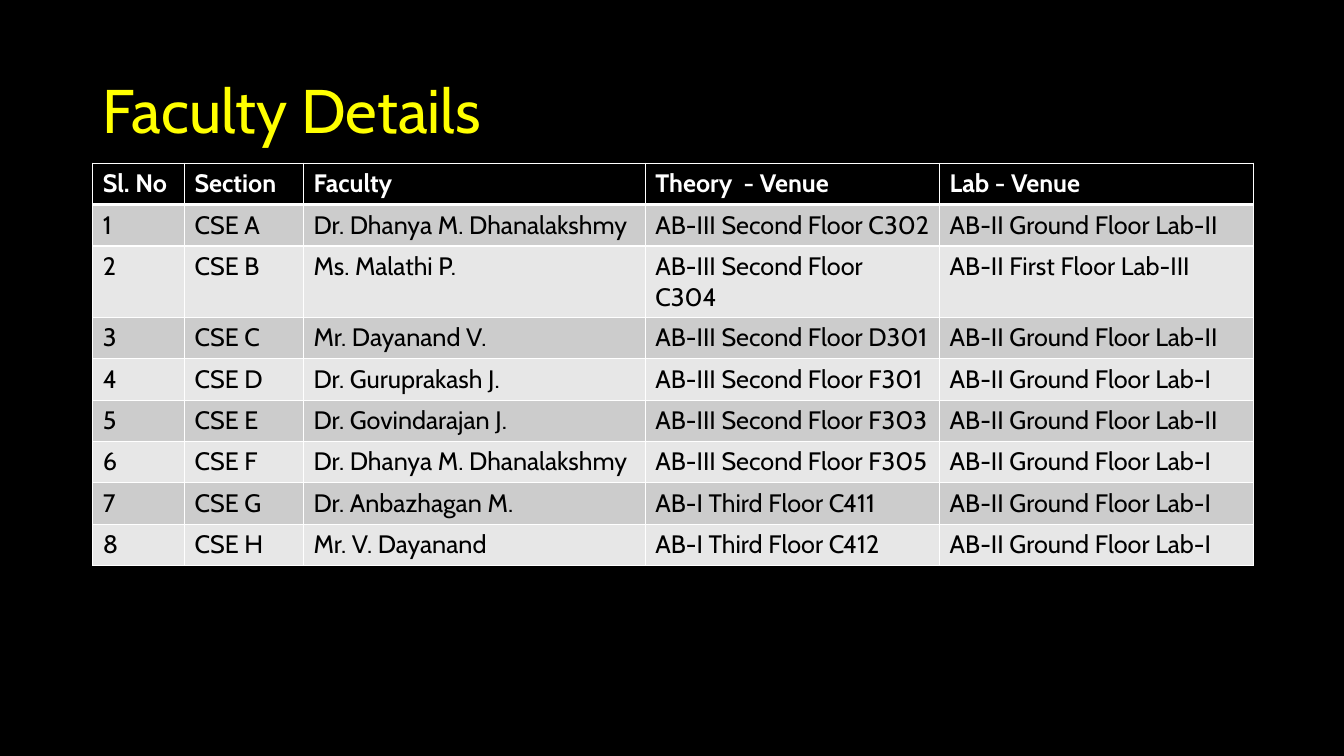
"""Build the Faculty Details slide with its table of sections and venues."""
from dataclasses import dataclass

from lxml import etree
from pptx import Presentation
from pptx.dml.color import RGBColor
from pptx.enum.text import MSO_ANCHOR, MSO_AUTO_SIZE, PP_ALIGN
from pptx.oxml.ns import qn
from pptx.util import Inches, Pt

LEFT = PP_ALIGN.LEFT
MIDDLE = MSO_ANCHOR.MIDDLE
NO_AUTOFIT = MSO_AUTO_SIZE.NONE


@dataclass(frozen=True)
class Theme:
    font: str = "Cabin"
    title_size: int = 44
    table_size: int = 18
    black: str = "000000"
    white: str = "FFFFFF"
    yellow: str = "FFFF00"
    bands: tuple = ("E7E7E7", "CCCCCC")


THEME = Theme()


def write_text(text_frame, text, *, size, color, bold=False, line_spacing=None):
    paragraph = text_frame.paragraphs[0]
    paragraph.alignment = LEFT
    paragraph.line_spacing = line_spacing
    run = paragraph.add_run()
    run.text = text
    run.font.name = THEME.font
    run.font.size = Pt(size)
    run.font.bold = bold
    run.font.color.rgb = RGBColor.from_string(color)


def add_border(cell, side, points):
    properties = cell._tc.get_or_add_tcPr()
    line = etree.SubElement(properties, qn(f"a:ln{side}"), w=str(Pt(points)))
    fill = etree.SubElement(line, qn("a:solidFill"))
    etree.SubElement(fill, qn("a:srgbClr"), val=THEME.white)


presentation = Presentation()
presentation.slide_width = Inches(13.33)
presentation.slide_height = Inches(7.5)
slide = presentation.slides.add_slide(presentation.slide_layouts[5])
slide.background.fill.solid()
slide.background.fill.fore_color.rgb = RGBColor.from_string(THEME.black)

title = slide.shapes.title
title.left, title.top = Inches(0.92), Inches(0.4)
title.width, title.height = Inches(11.5), Inches(1.45)
title.text_frame.auto_size = NO_AUTOFIT
title.text_frame.word_wrap = True
title.text_frame.vertical_anchor = MIDDLE
write_text(title.text_frame, "Faculty Details", size=THEME.title_size,
           color=THEME.yellow, line_spacing=0.9)

headings = ("Sl. No", "Section", "Faculty", "Theory  - Venue", "Lab - Venue")
sections = [
    ("Dr. Dhanya M. Dhanalakshmy", "AB-III Second Floor C302", "AB-II Ground Floor Lab-II"),
    ("Ms. Malathi P.", "AB-III Second Floor C304", "AB-II First Floor Lab-III"),
    ("Mr. Dayanand V.", "AB-III Second Floor D301", "AB-II Ground Floor Lab-II"),
    ("Dr. Guruprakash J.", "AB-III Second Floor F301", "AB-II Ground Floor Lab-I"),
    ("Dr. Govindarajan J.", "AB-III Second Floor F303", "AB-II Ground Floor Lab-II"),
    ("Dr. Dhanya M. Dhanalakshmy", "AB-III Second Floor F305", "AB-II Ground Floor Lab-I"),
    ("Dr. Anbazhagan M.", "AB-I Third Floor C411", "AB-II Ground Floor Lab-I"),
    ("Mr. V. Dayanand", "AB-I Third Floor C412", "AB-II Ground Floor Lab-I"),
]
rows = [headings]
for number, (letter, details) in enumerate(zip("ABCDEFGH", sections), start=1):
    rows.append((str(number), f"CSE {letter}", *details))

column_widths = (0.91, 1.18, 3.39, 2.92, 3.11)
row_height = 0.41
table = slide.shapes.add_table(
    len(rows), len(headings), Inches(0.92), Inches(1.62),
    Inches(sum(column_widths)), Inches(row_height * len(rows))).table
for column, width in zip(table.columns, column_widths):
    column.width = Inches(width)

for row_index, values in enumerate(rows):
    table.rows[row_index].height = Inches(row_height)
    is_header = row_index == 0
    fill_color = THEME.black if is_header else THEME.bands[row_index % 2]
    text_color = THEME.white if is_header else THEME.black
    borders = {"L": 1, "R": 1, "T": 3 if row_index == 1 else 1, "B": 3 if is_header else 1}
    for column_index, value in enumerate(values):
        cell = table.cell(row_index, column_index)
        for side, points in borders.items():
            add_border(cell, side, points)
        cell.fill.solid()
        cell.fill.fore_color.rgb = RGBColor.from_string(fill_color)
        write_text(cell.text_frame, value, size=THEME.table_size,
                   color=text_color, bold=is_header)

presentation.save("out.pptx")
